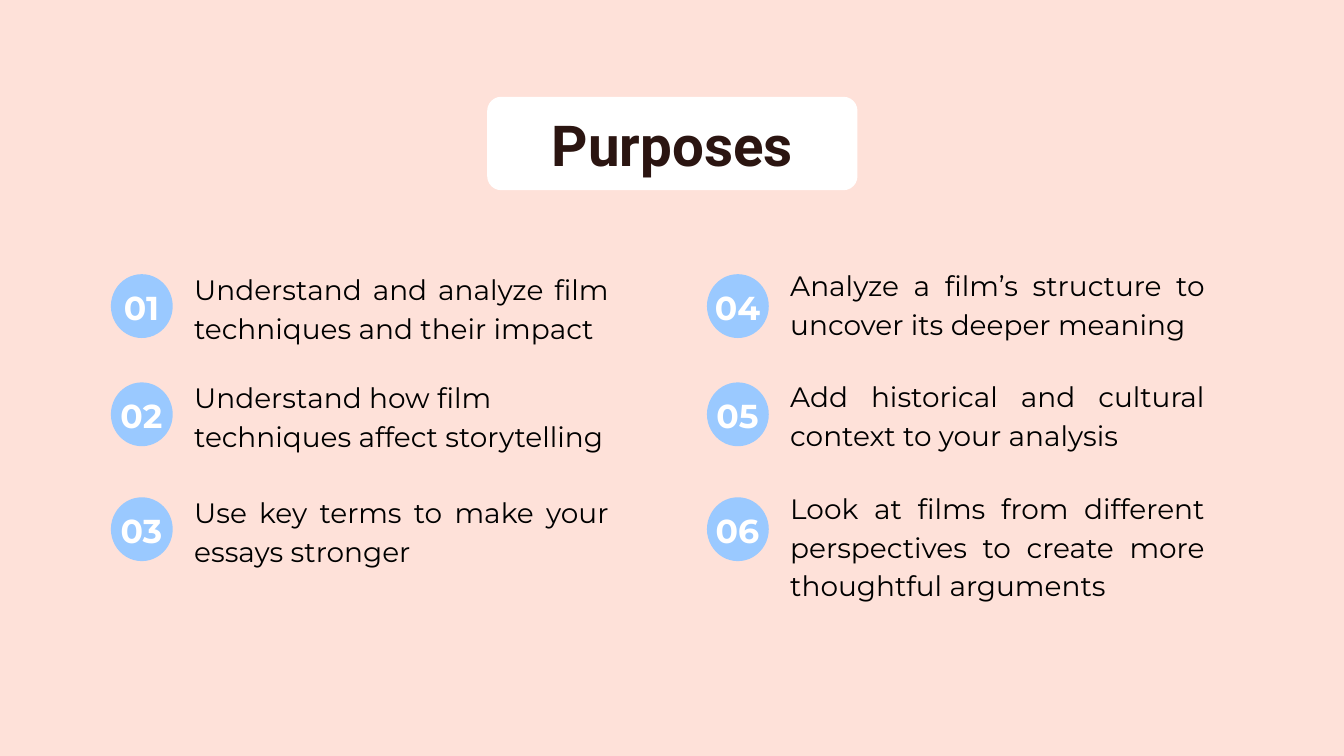
from pptx import Presentation, util as u
from pptx.dml.color import RGBColor
from pptx.enum import shapes, text

PX = 9144  # 100 px to the inch
COLORS = {"background": "FEE1D9", "badge": "9AC9FF", "card": "FFFFFF",
          "title": "2B1511", "number": "FFFFFF", "body": "000000"}
FORMATS = {
    "title": {"name": "Roboto", "size": u.Pt(60.5), "bold": True},
    "number": {"name": "Montserrat", "size": u.Pt(35.5), "bold": True},
    "body": {"name": "Montserrat", "size": u.Pt(30), "bold": False},
}
LINE_SPACING = {"title": u.Pt(72.5), "number": u.Pt(49.7), "body": u.Pt(41.7)}

JUSTIFY, LEFT, CENTER = (text.PP_ALIGN.JUSTIFY, text.PP_ALIGN.LEFT,
                         text.PP_ALIGN.CENTER)
TOP, MIDDLE = text.MSO_ANCHOR.TOP, text.MSO_ANCHOR.MIDDLE

ROW_TOPS = (408, 569, 740)
# Each column: left edge, then (wording, alignment, rise above the badge, width, height)
COLUMNS = (
    (165, (
        ("Understand and analyze film techniques and their impact", JUSTIFY, 11, 617, 112),
        ("Understand how film techniques affect storytelling", LEFT, 11, 642, 112),
        ("Use key terms to make your essays stronger", JUSTIFY, 10, 617, 112),
    )),
    (1052, (
        ("Analyze a film’s structure to uncover its deeper meaning", JUSTIFY, 16, 617, 112),
        ("Add historical and cultural context to your analysis", JUSTIFY, 12, 617, 112),
        ("Look at films from different perspectives to create more thoughtful arguments",
         JUSTIFY, 17, 617, 169),
    )),
)


def px(*lengths):
    return [u.Emu(length * PX) for length in lengths]


def color(key):
    return RGBColor.from_string(COLORS[key])


def add_panel(parent, kind, box, fill):
    panel = parent.add_shape(kind, *px(*box))
    panel.shadow.inherit = False
    panel.fill.solid()
    panel.fill.fore_color.rgb = color(fill)
    panel.line.fill.background()
    return panel


def write(holder, wording, style, align, anchor, inset=0):
    frame = holder.text_frame
    margin = u.Emu(inset * PX)
    settings = {"word_wrap": True, "vertical_anchor": anchor,
                "margin_left": margin, "margin_right": margin,
                "margin_top": margin, "margin_bottom": margin}
    for name, value in settings.items():
        setattr(frame, name, value)
    paragraph = frame.paragraphs[0]
    paragraph.alignment = align
    paragraph.line_spacing = LINE_SPACING[style]
    run = paragraph.add_run()
    run.text = wording
    for name, value in FORMATS[style].items():
        setattr(run.font, name, value)
    run.font.color.rgb = color(style)


def add_title(slide, box, wording):
    card = add_panel(slide.shapes, shapes.MSO_SHAPE.ROUNDED_RECTANGLE, box, "card")
    card.adjustments[0] = 0.15
    write(card, wording, "title", CENTER, MIDDLE, inset=6)


def add_badge(slide, left, top, number):
    badge = slide.shapes.add_group_shape().shapes
    add_panel(badge, shapes.MSO_SHAPE.OVAL, (left, top, 92, 95), "badge")
    label = badge.add_textbox(*px(left + 8, top + 2, 75, 85))
    write(label, f"{number:02}", "number", CENTER, MIDDLE)


def add_purpose(slide, left, top, number, purpose):
    wording, align, rise, width, height = purpose
    add_badge(slide, left, top, number)
    body = slide.shapes.add_textbox(*px(left + 124, top - rise, width, height))
    write(body, wording, "body", align, TOP)


def add_column(slide, left, first_number, purposes):
    for row, (top, purpose) in enumerate(zip(ROW_TOPS, purposes)):
        add_purpose(slide, left, top, first_number + row, purpose)


def main():
    deck = Presentation()
    deck.slide_width, deck.slide_height = px(2000, 1125)
    slide = deck.slides.add_slide(deck.slide_layouts[6])
    slide.background.fill.solid()
    slide.background.fill.fore_color.rgb = color("background")
    add_title(slide, (725, 144, 551, 139), "Purposes")
    for index, (left, purposes) in enumerate(COLUMNS):
        add_column(slide, left, 1 + index * len(ROW_TOPS), purposes)
    deck.save("out.pptx")


if __name__ == "__main__":
    main()
